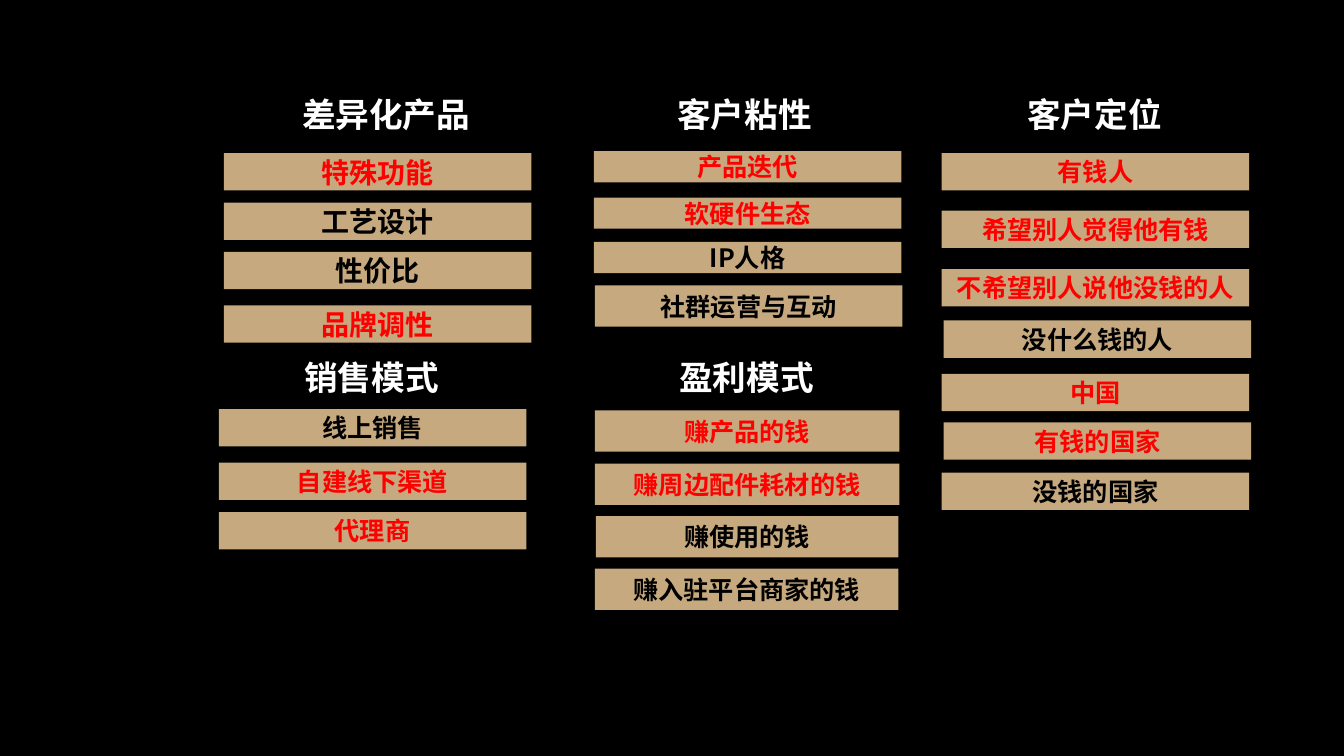
from dataclasses import dataclass

from lxml.etree import SubElement
from pptx import Presentation
from pptx.dml.color import RGBColor
from pptx.enum.shapes import MSO_SHAPE
from pptx.enum.text import MSO_ANCHOR, PP_ALIGN
from pptx.oxml.ns import qn
from pptx.util import Inches, Pt


@dataclass(frozen=True)
class Theme:
    background: RGBColor = RGBColor(0, 0, 0)
    bar: RGBColor = RGBColor(0xC6, 0xA9, 0x7E)
    title: RGBColor = RGBColor(255, 255, 255)
    plain: RGBColor = RGBColor(0, 0, 0)
    key: RGBColor = RGBColor(255, 0, 0)
    font: str = "Noto Sans CJK SC"
    title_size: int = 24
    large_size: int = 20
    bar_size: int = 18


THEME = Theme()


@dataclass(frozen=True)
class Bar:
    text: str
    top: float
    key: bool = False  # key choices are set in red
    left: float = 0
    width: float = 3.05
    height: float = 0.37
    size: int = THEME.bar_size


@dataclass(frozen=True)
class Group:
    title: str
    box: tuple  # left, top, width, height of the title box
    bars: list


def differentiation():
    rows = [("特殊功能", 1.52, True), ("工艺设计", 2.01, False),
            ("性价比", 2.5, False), ("品牌调性", 3.03, True)]
    return Group("差异化产品", (2.04, 0.88, 3.58, 3.13),
                 [Bar(*row, left=2.22, size=THEME.large_size) for row in rows])


def sales():
    rows = [("线上销售", 4.06, False), ("自建线下渠道", 4.59, True),
            ("代理商", 5.08, True)]
    return Group("销售模式", (1.9, 3.49, 3.57, 2.06),
                 [Bar(*row, left=2.17) for row in rows])


def loyalty():
    rows = [("产品迭代", 1.5, True), ("软硬件生态", 1.96, True),
            ("IP人格", 2.4, False)]
    bars = [Bar(*row, left=5.89, height=0.31) for row in rows]
    bars.append(Bar("社群运营与互动", 2.83, left=5.9, height=0.41))
    return Group("客户粘性", (5.6, 0.88, 3.57, 2.3), bars)


def profit():
    rows = [("赚产品的钱", 4.07, True, 5.9, 3.02),
            ("赚周边配件耗材的钱", 4.6, True, 5.9, 3.02),
            ("赚使用的钱", 5.12, False, 5.91, 3),
            ("赚入驻平台商家的钱", 5.64, False, 5.9, 3.01)]
    return Group("盈利模式", (4.84, 3.49, 5.13, 1.78),
                 [Bar(*row, height=0.41) for row in rows])


def customers():
    rows = [("有钱人", 1.52, True, 9.34), ("希望别人觉得他有钱", 2.09, True, 9.34),
            ("不希望别人说他没钱的人", 2.67, True, 9.34),
            ("没什么钱的人", 3.18, False, 9.36), ("中国", 3.71, True, 9.34),
            ("有钱的国家", 4.19, True, 9.36), ("没钱的国家", 4.69, False, 9.34)]
    return Group("客户定位", (9.07, 0.88, 3.57, 4.65), [Bar(*row) for row in rows])


def write(sp, text, size, color):
    tf = sp.text_frame
    tf.word_wrap = True
    p = tf.paragraphs[0]
    p.alignment = PP_ALIGN.CENTER
    r = p.add_run()
    r.text = text
    r.font.size = Pt(size)
    r.font.bold = True
    r.font.color.rgb = color
    r.font.name = THEME.font
    # Chinese characters take the East Asian typeface
    SubElement(r.font._element, qn("a:ea"), typeface=THEME.font)


def add_title(s, text, box):
    sp = s.shapes.add_textbox(*map(Inches, box))
    write(sp, text, THEME.title_size, THEME.title)


def add_bar(s, bar):
    box = map(Inches, (bar.left, bar.top, bar.width, bar.height))
    sp = s.shapes.add_shape(MSO_SHAPE.RECTANGLE, *box)
    sp.shadow.inherit = False
    sp.fill.solid()
    sp.fill.fore_color.rgb = THEME.bar
    sp.line.fill.background()
    sp.text_frame.vertical_anchor = MSO_ANCHOR.MIDDLE
    write(sp, bar.text, bar.size, THEME.key if bar.key else THEME.plain)


def main():
    prs = Presentation()
    prs.slide_width, prs.slide_height = Inches(13.33), Inches(7.5)
    s = prs.slides.add_slide(prs.slide_layouts[6])
    s.background.fill.solid()
    s.background.fill.fore_color.rgb = THEME.background

    # Five groups, each a title with its bars
    for group in (differentiation(), sales(), loyalty(), profit(), customers()):
        add_title(s, group.title, group.box)
        for bar in group.bars:
            add_bar(s, bar)

    prs.save("out.pptx")


if __name__ == "__main__":
    main()
